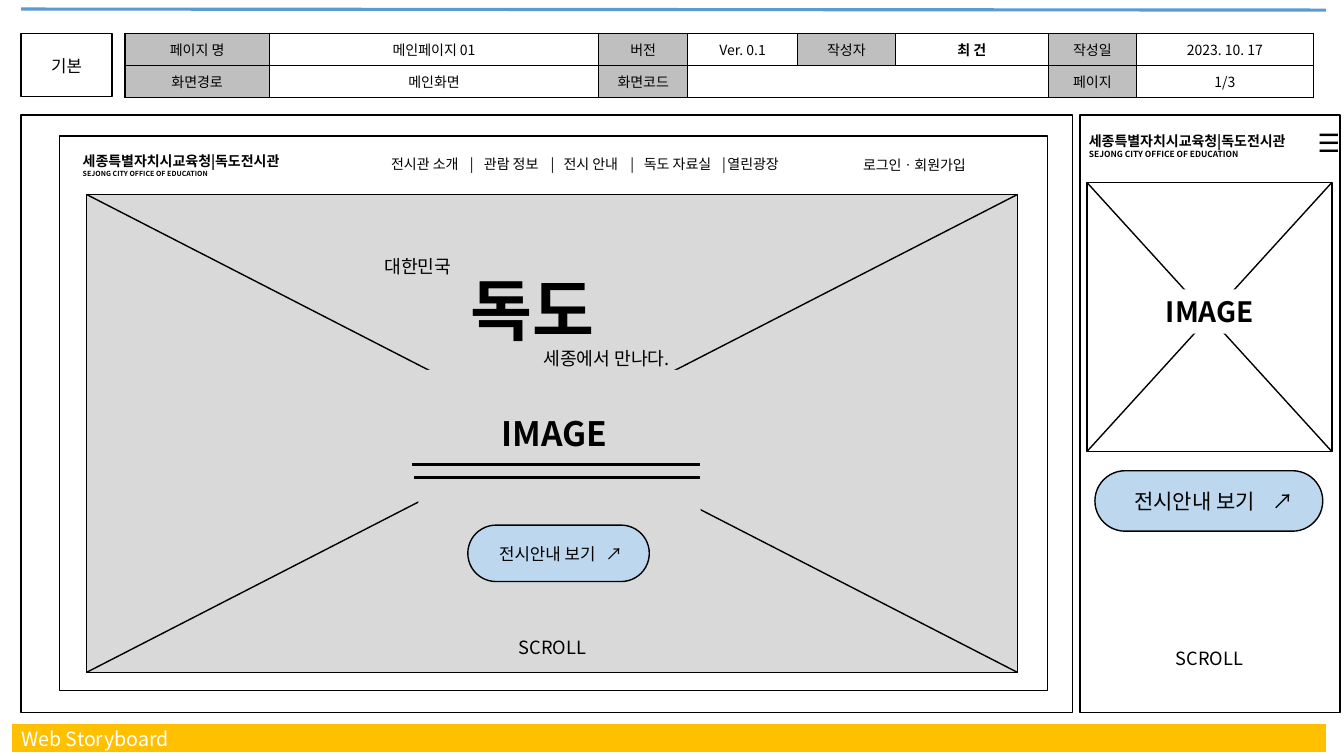
from dataclasses import dataclass
from itertools import pairwise
from lxml.etree import SubElement
from pptx import Presentation
from pptx.dml.color import RGBColor as Color
from pptx.enum.shapes import MSO_CONNECTOR as Link, MSO_SHAPE as Form
from pptx.enum.text import MSO_ANCHOR as Anchor, PP_ALIGN as Align
from pptx.oxml.ns import qn
from pptx.util import Pt

SCALE = 9144


@dataclass(frozen=True)
class Theme:
    font: str = "Noto Sans CJK KR"
    ink: str = "000000"
    paper: str = "FFFFFF"
    head: str = "BFBFBF"
    photo: str = "D9D9D9"
    pill: str = "BDD7EE"
    blue: str = "5B9BD5"
    gold: str = "FFC000"
    micro: int = 5
    mini: int = 6
    small: int = 10
    label: int = 12
    body: int = 13
    foot: int = 14
    large: int = 15
    icon: int = 18
    image: int = 20
    title: int = 24
    hero: int = 48
    thin: float = 1
    thick: float = 2.25
    bar: float = 20


class Board:
    def __init__(self, slide, theme):
        self.slide = slide
        self.theme = theme

    def place(self, *sizes):
        return [size * SCALE for size in sizes]

    def style(self, para, size, bold=False, color=None, align=Align.CENTER, tabs=()):
        para.alignment = align
        if tabs:
            stops = SubElement(para._p.get_or_add_pPr(), qn("a:tabLst"))
            for stop in tabs:
                SubElement(stops, qn("a:tab"), pos=str(stop * SCALE), algn="ctr")
        font = para.font
        font.size = Pt(size)
        font.bold = bold
        font.color.rgb = Color.from_string(color or self.theme.ink)
        font.name = self.theme.font
        props = para._p.pPr.find(qn("a:defRPr"))
        SubElement(props, qn("a:ea"), typeface=self.theme.font)

    def letter(self, frame, lines, **look):
        frame.word_wrap = True
        frame.vertical_anchor = Anchor.MIDDLE
        frame.margin_left = frame.margin_right = 0
        frame.margin_top = frame.margin_bottom = 0
        for row, (words, size) in enumerate(lines):
            para = frame.add_paragraph() if row else frame.paragraphs[0]
            para.text = words
            self.style(para, size, **look)

    def text(self, box, words, size, **look):
        frame = self.slide.shapes.add_textbox(*self.place(*box)).text_frame
        self.letter(frame, [(words, size)], **look)

    def brand(self, box, size):
        frame = self.slide.shapes.add_textbox(*self.place(*box)).text_frame
        lines = [("세종특별자치시교육청|독도전시관", self.theme.small),
                 ("SEJONG CITY OFFICE OF EDUCATION", size)]
        self.letter(frame, lines, bold=True, align=Align.LEFT)

    def block(self, box, fill, edge=True, form=Form.RECTANGLE):
        shape = self.slide.shapes.add_shape(form, *self.place(*box))
        shape.shadow.inherit = False
        shape.fill.solid()
        shape.fill.fore_color.rgb = Color.from_string(fill)
        if edge:
            shape.line.color.rgb = Color.from_string(self.theme.ink)
            shape.line.width = Pt(self.theme.thin)
        else:
            shape.line.fill.background()
        return shape

    def label(self, box, fill, words, size):
        shape = self.block(box, fill, edge=False)
        self.letter(shape.text_frame, [(words, size)], bold=True)

    def line(self, ends, color, width):
        link = self.slide.shapes.add_connector(Link.STRAIGHT, *self.place(*ends))
        link.line.color.rgb = Color.from_string(color)
        link.line.width = Pt(width)
        SubElement(link._element.spPr, qn("a:effectLst"))

    def photo(self, box, fill):
        left, top, wide, high = box
        right, base = left + wide, top + high
        self.block(box, fill)
        for start, end in ((top, base), (base, top)):
            self.line((left, start, right, end), self.theme.ink, self.theme.thin)

    def button(self, box, words, size, inset, stop):
        left, top, wide, high = box
        shape = self.block(box, self.theme.pill, form=Form.ROUNDED_RECTANGLE)
        shape.adjustments[0] = 0.5
        self.text((left + inset, top, wide - inset, high), words, size,
                  align=Align.LEFT, tabs=(stop,))

    def border(self, cell):
        props = cell._tc.get_or_add_tcPr()
        for side in ("lnL", "lnR", "lnT", "lnB"):
            edge = SubElement(props, qn(f"a:{side}"), w=str(Pt(self.theme.thin)))
            fill = SubElement(edge, qn("a:solidFill"))
            SubElement(fill, qn("a:srgbClr"), val=self.theme.ink)

    def table(self, edges, top, high, rows, heads, bold):
        box = edges[0], top, edges[-1] - edges[0], high * len(rows)
        grid = self.slide.shapes.add_table(
            len(rows), len(edges) - 1, *self.place(*box)).table
        grid.first_row = grid.horz_banding = False
        for column, (left, right) in zip(grid.columns, pairwise(edges)):
            column.width = (right - left) * SCALE
        for y, row in enumerate(rows):
            grid.rows[y].height = high * SCALE
            for x, words in enumerate(row):
                cell = grid.cell(y, x)
                self.border(cell)
                cell.fill.solid()
                fill = self.theme.head if words in heads else self.theme.paper
                cell.fill.fore_color.rgb = Color.from_string(fill)
                cell.vertical_anchor = Anchor.MIDDLE
                cell.margin_left = cell.margin_right = 0
                cell.margin_top = cell.margin_bottom = 0
                para = cell.text_frame.paragraphs[0]
                para.text = words
                self.style(para, self.theme.small, bold=words == bold)
        return grid


def header(board, look):
    board.block((21, 33, 90, 63), look.paper)
    board.text((39, 49, 54, 32), "기본", look.label)
    board.line((21, 9, 1315, 10), look.blue, look.thick)
    board.line((12, 732, 1315, 732), look.gold, look.bar)
    board.text((21, 716, 251, 34), "Web Storyboard", look.foot,
               color=look.paper, align=Align.LEFT)
    rows = [("페이지 명", "메인페이지 01", "버전", "Ver. 0.1",
             "작성자", "최 건", "작성일", "2023. 10. 17"),
            ("화면경로", "메인화면", "화면코드", "", "", "", "페이지", "1/3")]
    heads = {*rows[0][::2], *rows[1][::2]} - {""}
    grid = board.table((124, 267, 594, 682, 791, 888, 1040, 1127, 1303),
                       33, 32, rows, heads, "최 건")
    grid.cell(1, 3).merge(grid.cell(1, 5))


def desktop(board, look):
    board.block((59, 135, 980, 550), look.paper)
    board.photo((86, 193, 923, 474), look.photo)
    board.brand((82, 146, 242, 35), look.micro)
    menu = ("전시관 소개", "관람 정보", "전시 안내", "독도 자료실", "열린광장")
    board.text((388, 149, 410, 27), "\t|\t".join(menu), look.small,
               align=Align.LEFT, tabs=(80, 119, 160, 198, 239, 284, 330, 359))
    board.text((856, 150, 122, 27), "로그인ㆍ회원가입", look.small, align=Align.LEFT)
    board.text((425, 626, 246, 32), "SCROLL", look.body)
    board.button((464, 521, 180, 56), "전시안내 보기\t↗", look.label, 31, 114)
    board.label((441, 261, 174, 91), look.photo, "독도", look.hero)
    board.text((361, 248, 107, 32), "대한민국", look.body)
    board.text((522, 339, 159, 32), "세종에서 만나다.", look.body)
    board.block((415, 367, 280, 141), look.photo, edge=False)
    for left, y in ((409, 461), (411, 474)):
        board.line((left, y, 694, y), look.ink, look.thick)
    board.label((481, 405, 138, 50), look.photo, "IMAGE", look.title)


def mobile(board, look):
    board.block((1071, 114, 258, 593), look.paper)
    board.photo((1078, 181, 243, 267), look.paper)
    board.label((1137, 287, 126, 44), look.paper, "IMAGE", look.image)
    board.button((1086, 467, 226, 60), "전시안내 보기\t↗", look.large, 39, 148)
    board.text((1087, 636, 225, 34), "SCROLL", look.body)
    board.text((1303, 119, 30, 44), "☰", look.icon)
    board.brand((1080, 125, 224, 40), look.mini)


def main():
    deck = Presentation()
    deck.slide_width, deck.slide_height = 1333 * SCALE, 750 * SCALE
    look = Theme()
    board = Board(deck.slides.add_slide(deck.slide_layouts[6]), look)
    board.block((21, 114, 1043, 593), look.paper)
    header(board, look)
    desktop(board, look)
    mobile(board, look)
    deck.save("out.pptx")


if __name__ == "__main__":
    main()
